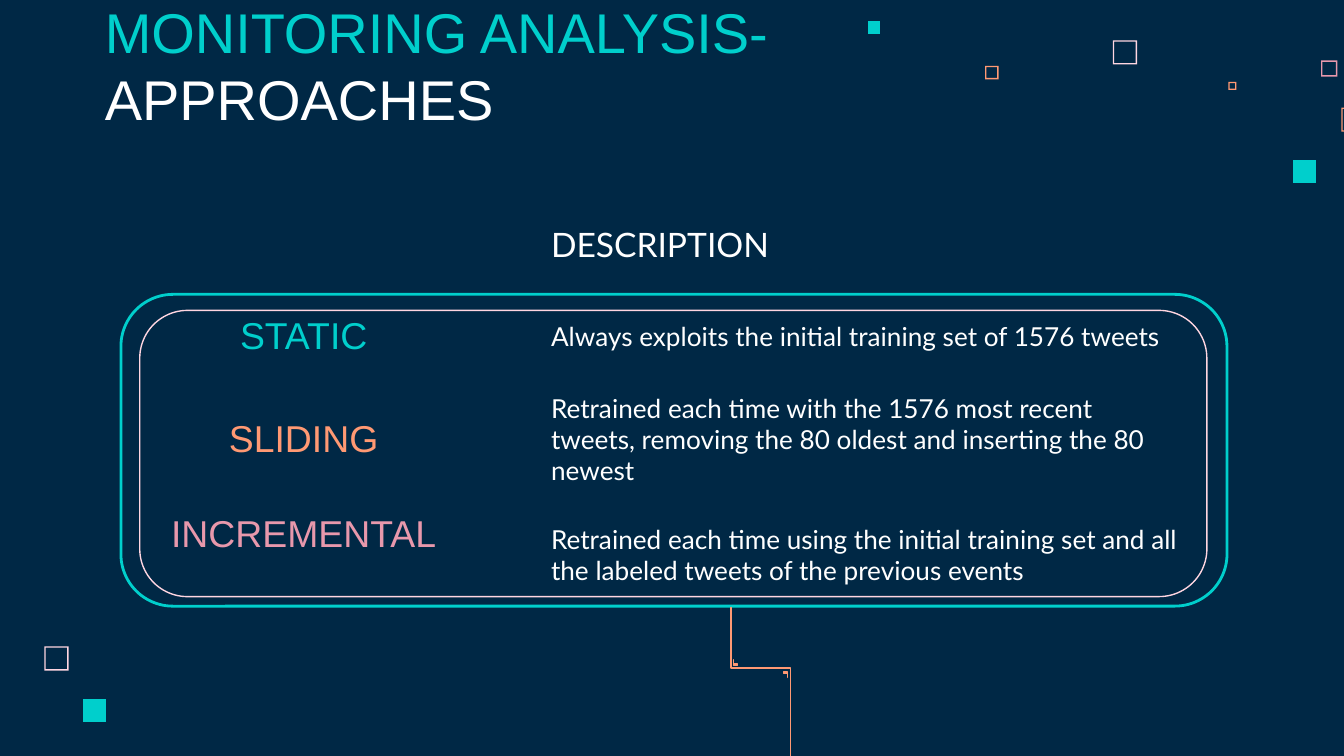
from pptx import Presentation
from pptx.dml.color import RGBColor
from pptx.enum.shapes import MSO_SHAPE as Shape
from pptx.enum.text import MSO_ANCHOR as Anchor, MSO_AUTO_SIZE as AutoSize, PP_ALIGN as Align
from pptx.util import Pt

PX = 9144  # EMU per px, 100 px to the inch
WIDTH = 1000
NAVY, WHITE = "002845", "FFFFFF"
TEAL, ORANGE, ROSE, BLUSH = "00CFCC", "FF9973", "E898AC", "FFD6E1"
PADDING = 10
NO_GRID_STYLE = "{2D5ABB26-0587-4C30-8999-92F81FD0307C}"

HOLLOW_SQUARES = [  # left, top, side, colour
    (828, 30, 18, BLUSH), (983, 45, 12, ROSE), (914, 61, 6, ORANGE),
    (998, 80, 18, ORANGE), (733, 49, 10, ORANGE), (33, 481, 18, BLUSH),
]
SOLID_SQUARES = [(962, 119, 17, TEAL), (646, 16, 9, TEAL), (62, 520, 17, TEAL)]

APPROACHES = [  # name, colour, space below the name, description
    ("STATIC", TEAL, PADDING,
     "Always exploits the initial training set of 1576 tweets"),
    ("SLIDING", ORANGE, PADDING,
     "Retrained each time with the 1576 most recent tweets, "
     "removing the 80 oldest and inserting the 80 newest"),
    ("INCREMENTAL", ROSE, 40,
     "Retrained each time using the initial training set and all "
     "the labeled tweets of the previous events"),
]


def color(value):
    return RGBColor.from_string(value)


def emu(*lengths):
    return [length * PX for length in lengths]


def paint(shape, fill=None, line=None, weight=0.75):
    shape.shadow.inherit = False
    if fill:
        shape.fill.solid()
        shape.fill.fore_color.rgb = color(fill)
    else:
        shape.fill.background()
    if line:
        shape.line.color.rgb = color(line)
        shape.line.width = Pt(weight)
    else:
        shape.line.fill.background()


def add_run(paragraph, text, size, font, value):
    run = paragraph.add_run()
    run.text = text
    run.font.size = Pt(size)
    run.font.name = font
    run.font.color.rgb = color(value)


def set_insets(target, bottom=PADDING):
    target.margin_left = target.margin_right = target.margin_top = PADDING * PX
    target.margin_bottom = bottom * PX


def add_outline(shapes, points, closed=True, hole=()):
    builder = shapes.build_freeform(*points[0], scale=PX)
    builder.add_line_segments(points[1:], close=closed)
    if hole:
        builder.move_to(*hole[0])
        builder.add_line_segments(hole[1:], close=True)
    return builder.convert_to_shape()


def square_corners(left, top, side):
    right, bottom = left + side, top + side
    return [(left, top), (left, bottom), (right, bottom), (right, top)]


def add_squares(slide):
    for left, top, side, value in HOLLOW_SQUARES:
        hole = square_corners(left + 1, top + 1, side - 2)[::-1]
        paint(add_outline(slide.shapes, square_corners(left, top, side), hole=hole), value)
    for left, top, side, value in SOLID_SQUARES:
        paint(add_outline(slide.shapes, square_corners(left, top, side)), value)


def add_panel(slide, left, top, width, height):
    """Draw the double rounded frame around the approaches."""
    outer = (left, top, width, height)
    inner = (left + 14, top + 12, width - 29, height - 19)
    for box, value, weight in ((outer, TEAL, 1.5), (inner, BLUSH, 0.75)):
        frame = slide.shapes.add_shape(Shape.ROUNDED_RECTANGLE, *emu(*box))
        frame.adjustments[0] = 0.167
        paint(frame, line=value, weight=weight)


def add_title(slide, left, top, width, height):
    title = slide.shapes.title
    title.left, title.top, title.width, title.height = emu(left, top, width, height)
    frame = title.text_frame
    frame.word_wrap = True
    frame.auto_size = AutoSize.NONE
    frame.vertical_anchor = Anchor.BOTTOM
    set_insets(frame)
    paragraph = frame.paragraphs[0]
    paragraph.alignment = Align.LEFT
    add_run(paragraph, "MONITORING ANALYSIS-", 30, "Arial", TEAL)
    add_run(paragraph, " APPROACHES", 30, "Arial", WHITE)


def add_approaches(slide, left, top):
    columns, rows = (348, 489), (62, 63, 85, 82)
    holder = slide.shapes.add_table(
        len(rows), len(columns), *emu(left, top, sum(columns), sum(rows)))
    table = holder.table
    table.first_row = table.horz_banding = False
    table._tbl.tblPr[0].text = NO_GRID_STYLE
    for column, width in zip(table.columns, columns):
        column.width = width * PX
    for row, height in zip(table.rows, rows):
        row.height = height * PX
    for cell in table.iter_cells():
        cell.fill.background()
        set_insets(cell)

    add_run(table.cell(0, 1).text_frame.paragraphs[0], "DESCRIPTION", 18, "Lato", WHITE)
    for index, (name, value, below, description) in enumerate(APPROACHES, 1):
        name_cell, description_cell = table.cell(index, 0), table.cell(index, 1)
        name_cell.vertical_anchor = description_cell.vertical_anchor = Anchor.MIDDLE
        set_insets(name_cell, below)
        paragraph = name_cell.text_frame.paragraphs[0]
        paragraph.alignment = Align.CENTER
        add_run(paragraph, name, 20, "Arial", value)
        add_run(description_cell.text_frame.paragraphs[0], description, 14, "Lato", WHITE)


def add_circuit(slide, left, top):
    """Draw the stepped trace below the panel, with a tick in each bend."""
    group = slide.shapes.add_group_shape()
    trace = [(0, 0), (0, 45), (44, 45), (44, 141)]
    trace += trace[-2::-1]
    lower_tick = [(39, 48), (39, 49), (42, 49), (42, 52), (42, 48)]
    upper_tick = [(2, 39), (2, 43), (5, 43), (5, 42), (2, 42)]
    for points in (trace, lower_tick, upper_tick):
        placed = [(left + x, top + y) for x, y in points]
        paint(add_outline(group.shapes, placed), ORANGE, ORANGE)


def main():
    presentation = Presentation()
    presentation.slide_width = WIDTH * PX
    presentation.slide_height = WIDTH * PX * 9 // 16
    slide = presentation.slides.add_slide(presentation.slide_layouts[5])
    slide.background.fill.solid()
    slide.background.fill.fore_color.rgb = color(NAVY)
    add_squares(slide)
    add_panel(slide, 90, 219, 823, 232)
    add_title(slide, 68, 45, 656, 63)
    add_approaches(slide, 52, 157)
    add_circuit(slide, 544, 452)
    presentation.save("out.pptx")


if __name__ == "__main__":
    main()
